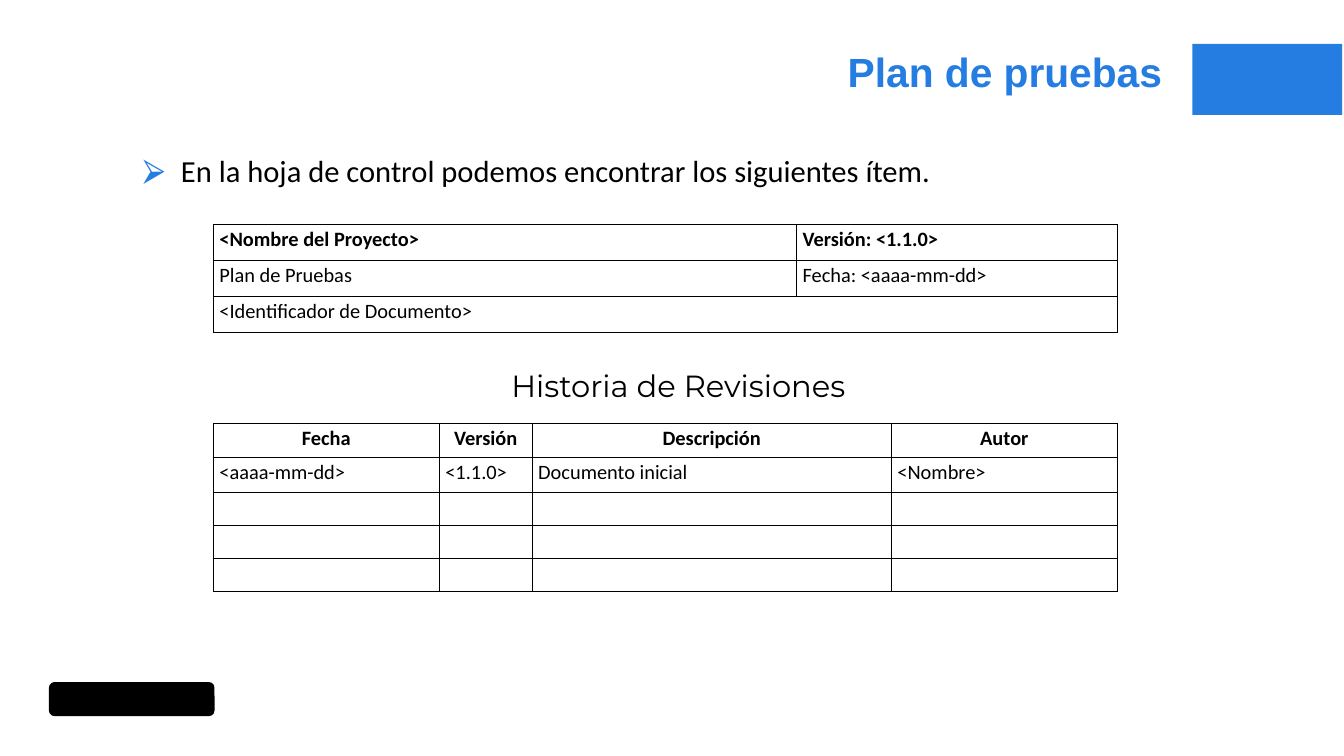
"""Build the test plan slide with its control sheet and revision history."""
from lxml.etree import SubElement
from pptx import Presentation
from pptx.dml.color import RGBColor
from pptx.enum.shapes import MSO_SHAPE
from pptx.enum.text import MSO_ANCHOR, MSO_AUTO_SIZE, PP_ALIGN
from pptx.oxml.ns import qn
from pptx.util import Pt

BLUE = RGBColor(0x25, 0x7C, 0xE1)
BLACK = RGBColor(0, 0, 0)
WHITE = RGBColor(0xFF, 0xFF, 0xFF)

TITLE = "Plan de pruebas"
INTRO = "En la hoja de control podemos encontrar los siguientes ítem."
HISTORY_HEADING = "Historia de Revisiones"
CONTROL_SHEET = [
    ("<Nombre del Proyecto>", "Versión: <1.1.0>"),
    ("Plan de Pruebas", "Fecha: <aaaa-mm-dd>"),
    ("<Identificador de Documento>", ""),
]
REVISIONS = [
    ("Fecha", "Versión", "Descripción", "Autor"),
    ("<aaaa-mm-dd>", "<1.1.0>", "Documento inicial", "<Nombre>"),
    *[("", "", "", "")] * 3,
]
TABLE_LEFT = 251.3
BULLET_INDENT = 44.64


def write(frame, text, size, font, color, bold=False, align=PP_ALIGN.LEFT):
    line = frame.paragraphs[0]
    line.alignment = align
    run = line.add_run()
    run.text = text
    run.font.size = Pt(size)
    run.font.name = font
    run.font.bold = bold
    run.font.color.rgb = color
    return line


def place(box, left, top, width, height, margins=(7.2, 3.6)):
    box.left, box.top, box.width, box.height = map(Pt, (left, top, width, height))
    frame = box.text_frame
    frame.margin_left = frame.margin_right = Pt(margins[0])
    frame.margin_top = frame.margin_bottom = Pt(margins[1])
    frame.word_wrap = True
    frame.auto_size = MSO_AUTO_SIZE.NONE
    frame.vertical_anchor = MSO_ANCHOR.TOP
    return frame


def add_block(slide, shape, left, top, width, height, color):
    block = slide.shapes.add_shape(shape, Pt(left), Pt(top), Pt(width), Pt(height))
    block.shadow.inherit = False
    block.fill.solid()
    block.fill.fore_color.rgb = color
    block.line.fill.background()


def outline(cell):
    properties = cell._tc.get_or_add_tcPr()
    for side in ("a:lnL", "a:lnR", "a:lnT", "a:lnB"):
        border = SubElement(properties, qn(side), w=str(Pt(1)))
        fill = SubElement(border, qn("a:solidFill"))
        SubElement(fill, qn("a:srgbClr"), val=str(BLACK))


def add_grid(slide, top, widths, heights, rows, header_align):
    grid = slide.shapes.add_table(
        len(rows), len(widths), Pt(TABLE_LEFT), Pt(top), Pt(sum(widths)), Pt(sum(heights))
    ).table
    grid.first_row = grid.horz_banding = False
    for column, width in zip(grid.columns, widths):
        column.width = Pt(width)
    for r, (row, height) in enumerate(zip(rows, heights)):
        grid.rows[r].height = Pt(height)
        for c, text in enumerate(row):
            cell = grid.cell(r, c)
            outline(cell)
            cell.fill.solid()
            cell.fill.fore_color.rgb = WHITE
            if text:
                align = header_align if r == 0 else PP_ALIGN.LEFT
                write(cell.text_frame, text, 24, "Calibri", BLACK, r == 0, align)
    return grid


def add_bullet(line):
    line.space_before = Pt(0)
    properties = line._p.get_or_add_pPr()
    properties.set("marL", str(Pt(BULLET_INDENT)))
    properties.set("indent", str(-Pt(BULLET_INDENT)))
    color = SubElement(properties, qn("a:buClr"))
    SubElement(color, qn("a:srgbClr"), val=str(BLUE))
    SubElement(properties, qn("a:buFont"), typeface="Arial")
    SubElement(properties, qn("a:buChar"), char="⮚")


def main():
    deck = Presentation()
    deck.slide_width, deck.slide_height = Pt(1583.28), Pt(890.64)
    slide = deck.slides.add_slide(deck.slide_layouts[1])
    title, intro = slide.placeholders

    add_block(slide, MSO_SHAPE.RECTANGLE, 1404.7, 51.8, 176.4, 83.5, BLUE)
    add_block(slide, MSO_SHAPE.ROUNDED_RECTANGLE, 57.6, 803.5, 195.1, 40.3, BLACK)

    title_frame = place(title, 47.5, 55.4, 1321.9, 58.3, margins=(0, 0))
    write(title_frame, TITLE, 48, "Arial", BLUE, True, PP_ALIGN.RIGHT)

    intro_frame = place(intro, 161.3, 175, 1278, 51.1)
    add_bullet(write(intro_frame, INTRO, 36, "Calibri", BLACK))

    heading = slide.shapes.add_textbox(0, 0, 0, 0)
    heading_frame = place(heading, 595.4, 429.1, 478.1, 51.1)
    write(heading_frame, HISTORY_HEADING, 36, "Montserrat", BLACK)

    control = add_grid(slide, 264.2, (687, 378), (42.5,) * 3, CONTROL_SHEET, PP_ALIGN.LEFT)
    control.cell(2, 0).merge(control.cell(2, 1))
    add_grid(slide, 499, (266.2, 109.4, 423.2, 266.2), (39.6, 41, 39, 39, 39),
             REVISIONS, PP_ALIGN.CENTER)

    deck.save("out.pptx")


if __name__ == "__main__":
    main()
